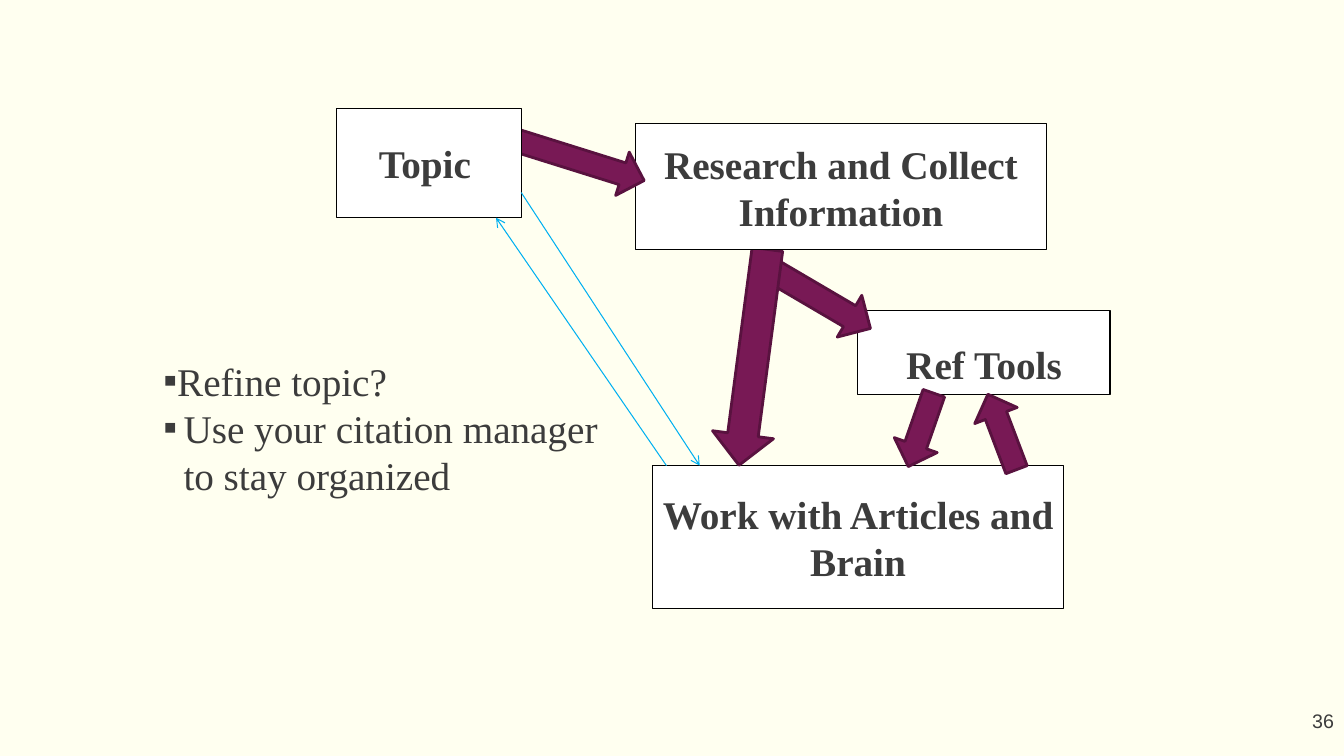
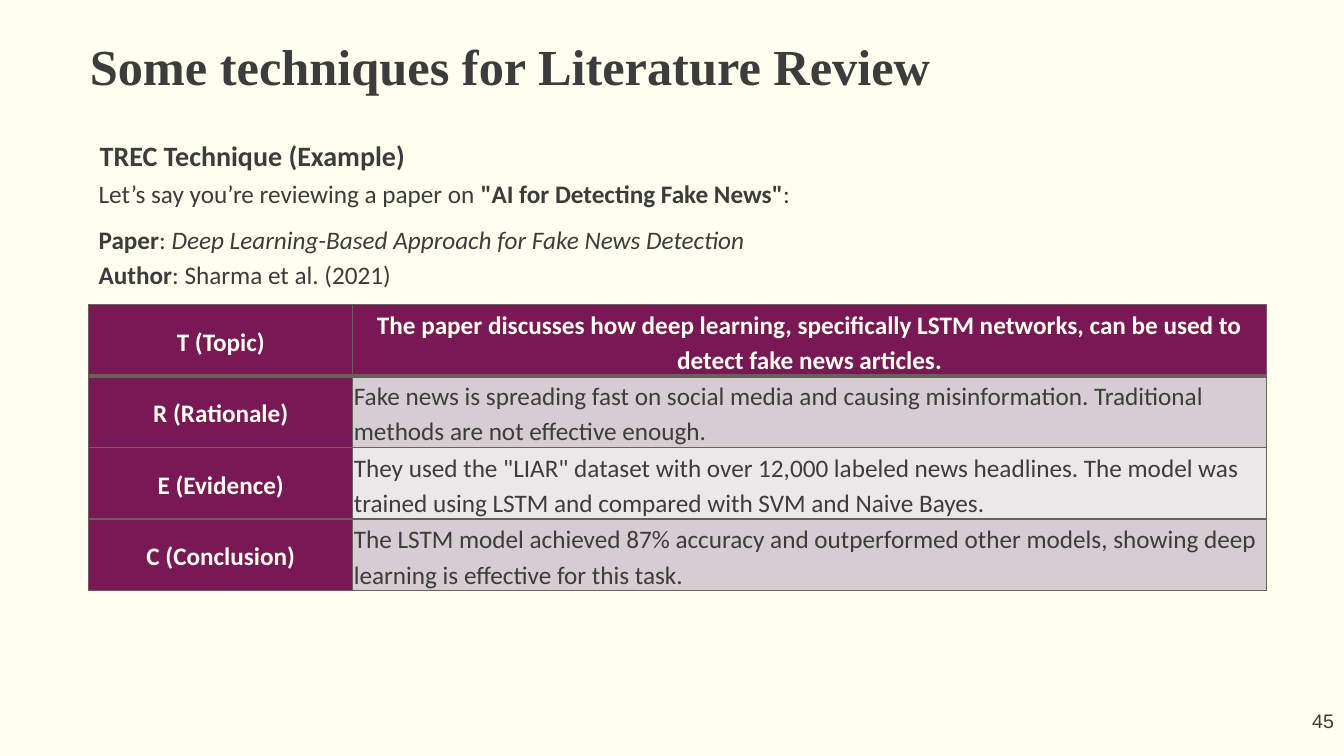
from lxml import etree
from pptx import Presentation
from pptx.dml.color import RGBColor
from pptx.enum import shapes, text
from pptx.oxml.ns import qn
from pptx.util import Inches, Pt

INK, PAPER, WHITE = "3C3C3C", "FFFFF0", "FFFFFF"
PLUM, DARK_PLUM, SKY = "781955", "59123F", "00B0F0"
GRID, BAND_DARK, BAND_LIGHT = "64645A", "D6CCD1", "ECE8E9"
SERIF, SANS = "Times New Roman", "Calibri"

rgb = RGBColor.from_string


def set_font(para, name, size, color=INK, bold=False):
    para.font.name = name
    para.font.size = Pt(size)
    para.font.bold = bold
    para.font.color.rgb = rgb(color)


def add_page(layout_index, number):
    """Add a slide with its page number in the lower right corner."""
    page = deck.slides.add_slide(deck.slide_layouts[layout_index])
    box = page.shapes.add_textbox(Inches(10.22), Inches(6.95), Inches(3.11), Inches(0.4))
    box.text_frame.vertical_anchor = text.MSO_ANCHOR.MIDDLE
    para = box.text_frame.paragraphs[0]
    para.text = str(number)
    para.alignment = text.PP_ALIGN.RIGHT
    set_font(para, "Arial", 14)
    return page


deck = Presentation()
deck.slide_width, deck.slide_height = Inches(13.33), Inches(7.5)
background = deck.slide_master.background.fill
background.solid()
background.fore_color.rgb = rgb(PAPER)

# Research workflow
page = add_page(1, 36)
title = page.shapes.title.element
title.getparent().remove(title)

notes = page.placeholders[1]
notes.left, notes.top = Inches(1.52), Inches(3.49)
notes.width, notes.height = Inches(4.56), Inches(1.51)
frame = notes.text_frame
frame.text = "Refine topic?\nUse your citation manager to stay organized"
for para, indent in zip(frame.paragraphs, (0, 0.2)):
    props = para._p.get_or_add_pPr()
    props.set("marL", str(Inches(indent)))
    props.set("indent", str(-Inches(indent)))
    etree.SubElement(props, qn("a:buFont"), typeface="Arial")
    etree.SubElement(props, qn("a:buChar"), char="▪")
    para.space_before = Pt(0)
    set_font(para, SERIF, 28)

# Back to front: a label makes a box, no label makes a block arrow
flow = [
    ("Ref Tools", 8.51, 3.08, 2.5, 0.83, 0),
    ("", 7.46, 2.7, 1.26, 0.48, 30.4),
    ("Work with Articles and Brain", 6.47, 4.62, 4.08, 1.42, 0),
    ("", 6.39, 3.24, 2.16, 0.61, 97.5),
    ("Research and Collect Information", 6.3, 1.23, 4.08, 1.25, 0),
    ("", 5.04, 1.36, 1.38, 0.45, 17.4),
    ("Topic", 3.34, 1.08, 1.83, 1.08, 0),
    ("", 8.75, 4.04, 0.77, 0.45, 109.2),
    ("", 9.54, 4.06, 0.8, 0.45, 249.2),
]
for label, left, top, width, height, rotation in flow:
    kind = shapes.MSO_SHAPE.RECTANGLE if label else shapes.MSO_SHAPE.RIGHT_ARROW
    shape = page.shapes.add_shape(kind, Inches(left), Inches(top), Inches(width), Inches(height))
    shape.rotation = rotation
    shape.shadow.inherit = False
    shape.fill.solid()
    shape.fill.fore_color.rgb = rgb(WHITE if label else PLUM)
    shape.line.color.rgb = rgb("000000" if label else DARK_PLUM)
    shape.line.width = Pt(0.75 if label else 2)
    if label:
        frame = shape.text_frame
        frame.word_wrap = True
        if label == "Ref Tools":
            frame.margin_top = Inches(0.28)
        elif label == "Topic":
            frame.margin_right = Inches(0.18)
        para = frame.paragraphs[0]
        para.text = label
        para.alignment = text.PP_ALIGN.CENTER
        set_font(para, SERIF, 28, bold=True)

for ends in ((6.61, 4.62, 4.92, 2.16), (5.17, 1.91, 6.94, 4.62)):
    link = page.shapes.add_connector(shapes.MSO_CONNECTOR.STRAIGHT, *map(Inches, ends))
    link.line.color.rgb = rgb(SKY)
    link.line.width = Pt(0.75)
    etree.SubElement(link.line._get_or_add_ln(), qn("a:tailEnd"), type="arrow")
    etree.SubElement(link._element.spPr, qn("a:effectLst"))

# TREC technique
page = add_page(5, 45)
title = page.shapes.title
title.left, title.top = Inches(0.89), Inches(0.35)
title.width, title.height = Inches(11.55), Inches(0.94)
frame = title.text_frame
frame.margin_left = frame.margin_top = frame.margin_right = frame.margin_bottom = 0
frame.vertical_anchor = text.MSO_ANCHOR.TOP
para = frame.paragraphs[0]
para.text = "Some techniques for Literature Review"
para.alignment = text.PP_ALIGN.LEFT
set_font(para, SERIF, 36, bold=True)

# Each paragraph is a list of (style, words); "b" is bold, "i" italic
heading = [[("b", "TREC Technique (Example)")]]
example = [
    [("", "Let’s say you’re reviewing a paper on "),
     ("b", '"AI for Detecting Fake News"'), ("", ":")],
    [("b", "Paper"), ("", ": "),
     ("i", "Deep Learning-Based Approach for Fake News Detection"), ("break", ""),
     ("b", "Author"), ("", ": Sharma et al. (2021)")],
]
for left, top, width, height, size, paragraphs in (
    (0.89, 1.28, 6.67, 0.47, 20, heading),
    (0.88, 1.68, 10.83, 1.24, 18, example),
):
    box = page.shapes.add_textbox(Inches(left), Inches(top), Inches(width), Inches(height))
    frame = box.text_frame
    frame.word_wrap = True
    for index, spans in enumerate(paragraphs):
        para = frame.add_paragraph() if index else frame.paragraphs[0]
        para.line_spacing = 1.15
        para.space_after = Pt(8)
        set_font(para, SANS, size)
        for style, words in spans:
            if style == "break":
                para.add_line_break()
                continue
            span = para.add_run()
            span.text = words
            span.font.bold = style == "b"
            span.font.italic = style == "i"

rows = [
    ("T (Topic)", "The paper discusses how deep learning, specifically LSTM networks, "
     "can be used to detect fake news articles."),
    ("R (Rationale)", "Fake news is spreading fast on social media and causing "
     "misinformation. Traditional methods are not effective enough."),
    ("E (Evidence)", 'They used the "LIAR" dataset with over 12,000 labeled news headlines. '
     "The model was trained using LSTM and compared with SVM and Naive Bayes."),
    ("C (Conclusion)", "The LSTM model achieved 87% accuracy and outperformed other models, "
     "showing deep learning is effective for this task."),
]
table = page.shapes.add_table(len(rows), 2, Inches(0.88), Inches(3.02),
                              Inches(11.68), Inches(2.84)).table
table.columns[0].width, table.columns[1].width = Inches(2.62), Inches(9.06)
for r, row in enumerate(rows):
    for c, words in enumerate(row):
        cell = table.cell(r, c)
        header = r == 0 or c == 0
        cell.margin_left = cell.margin_right = Inches(0.01)
        cell.margin_top = cell.margin_bottom = Inches(0.01)
        cell.vertical_anchor = text.MSO_ANCHOR.MIDDLE
        for side in "LRTB":
            thick = (r, side) in ((0, "B"), (1, "T"))
            border = etree.SubElement(cell._tc.get_or_add_tcPr(), qn(f"a:ln{side}"),
                                      w=str(Pt(3 if thick else 1)))
            fill = etree.SubElement(border, qn("a:solidFill"))
            etree.SubElement(fill, qn("a:srgbClr"), val=GRID)
        cell.fill.solid()
        cell.fill.fore_color.rgb = rgb(PLUM if header else BAND_DARK if r % 2 else BAND_LIGHT)
        para = cell.text_frame.paragraphs[0]
        para.text = words
        para.alignment = text.PP_ALIGN.CENTER if header else text.PP_ALIGN.LEFT
        para.line_spacing = 1.15
        para.space_after = Pt(8)
        set_font(para, SANS, 18, PAPER if header else INK, header)

deck.save("out.pptx")
